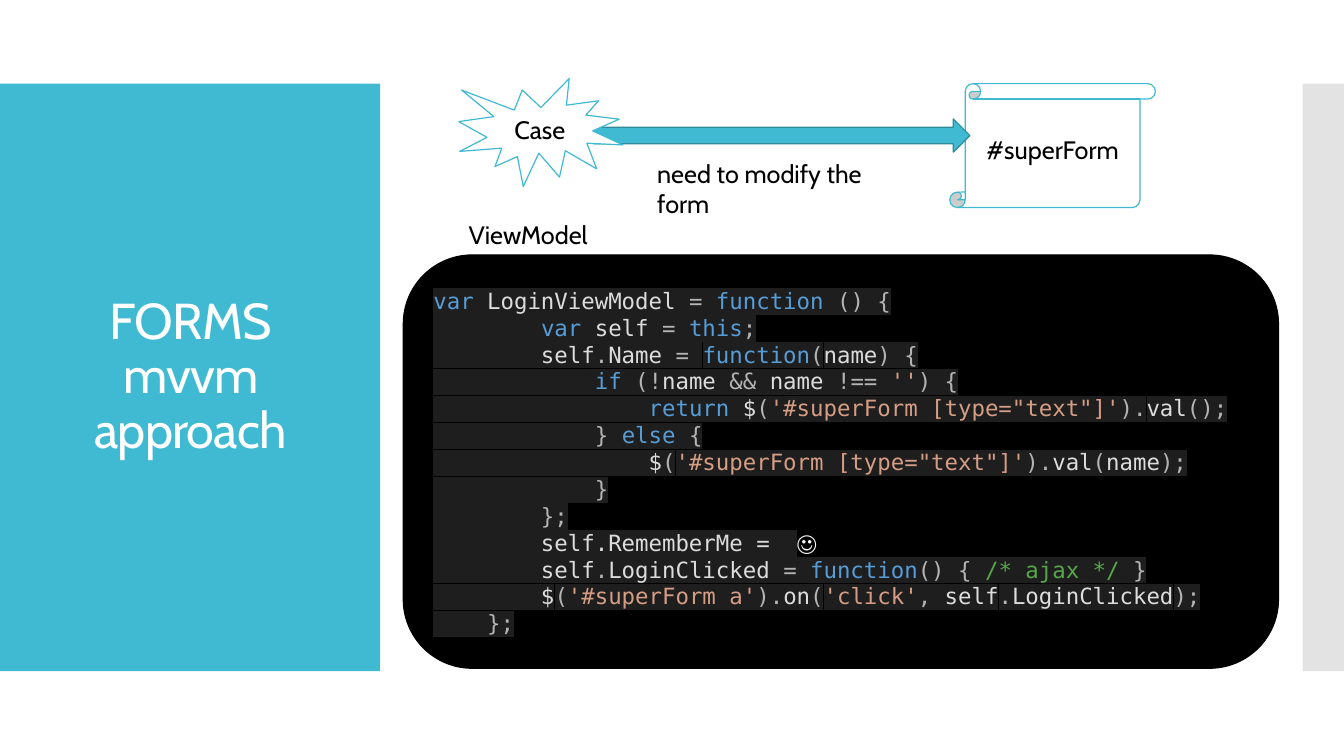
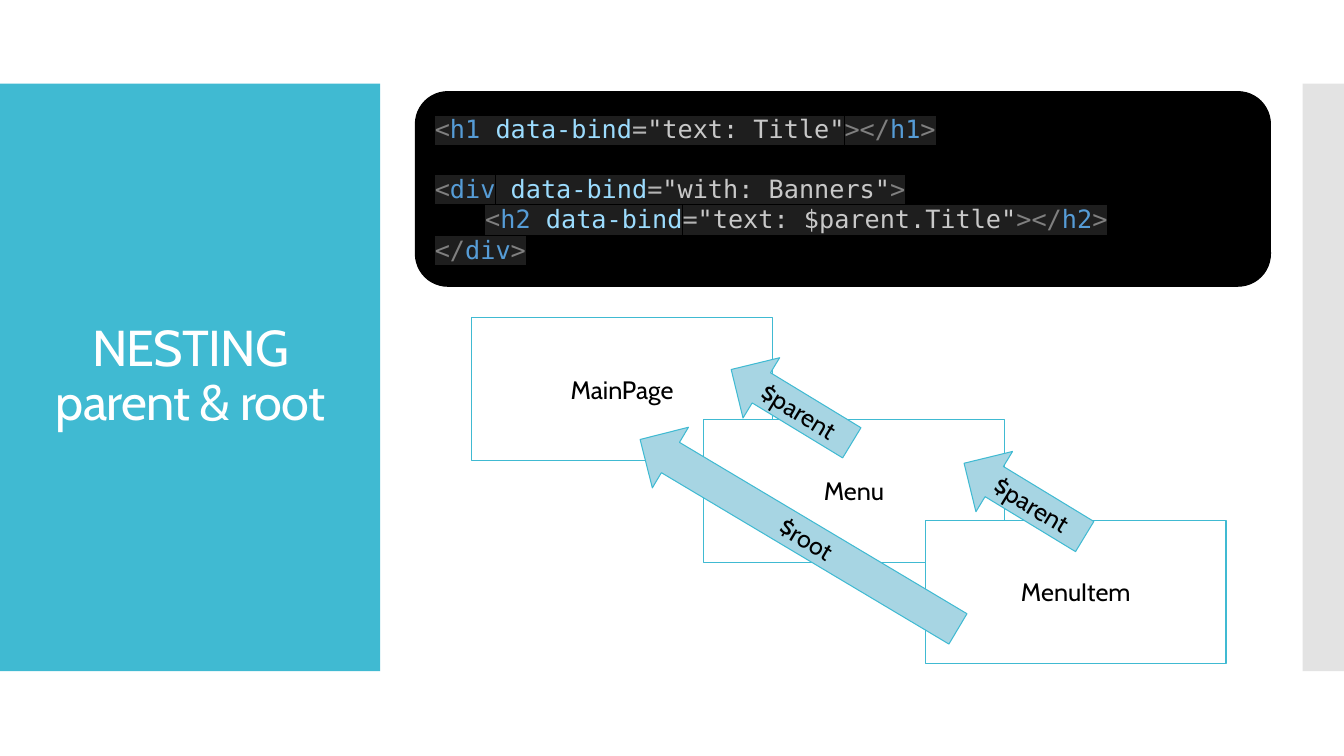
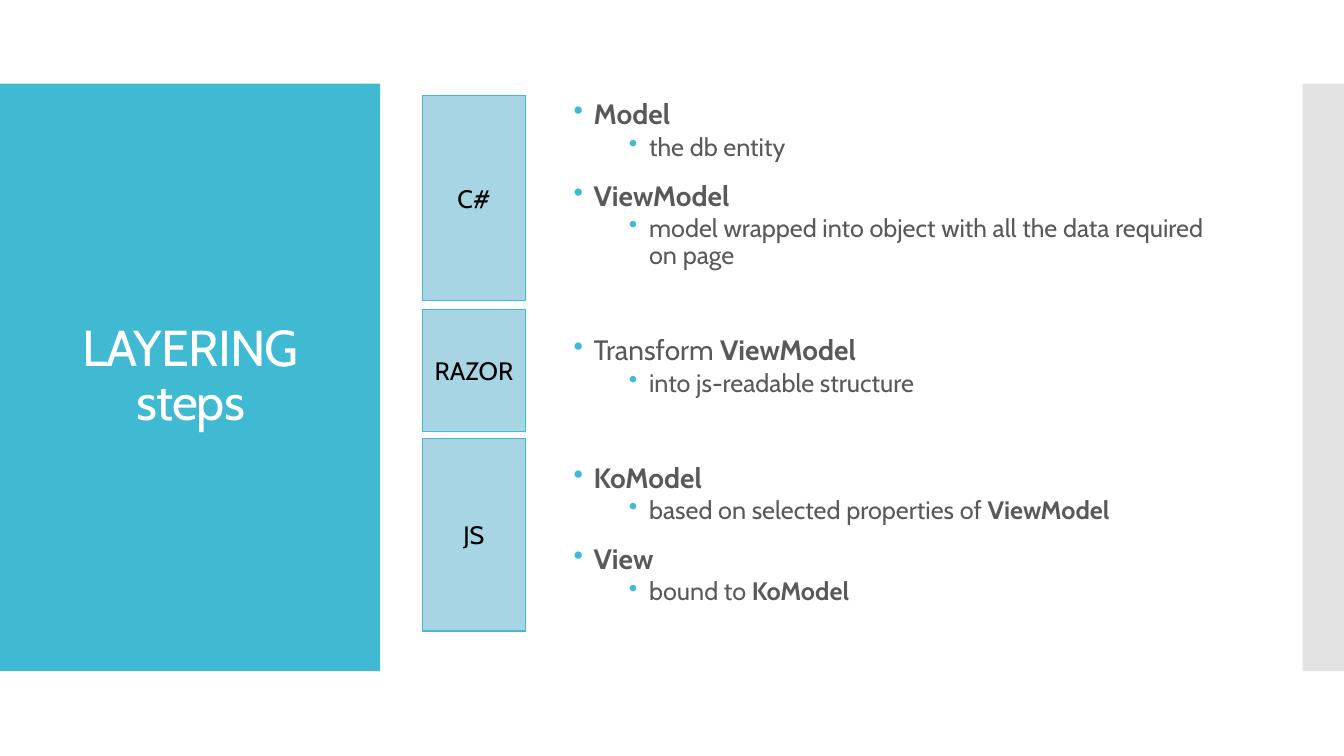
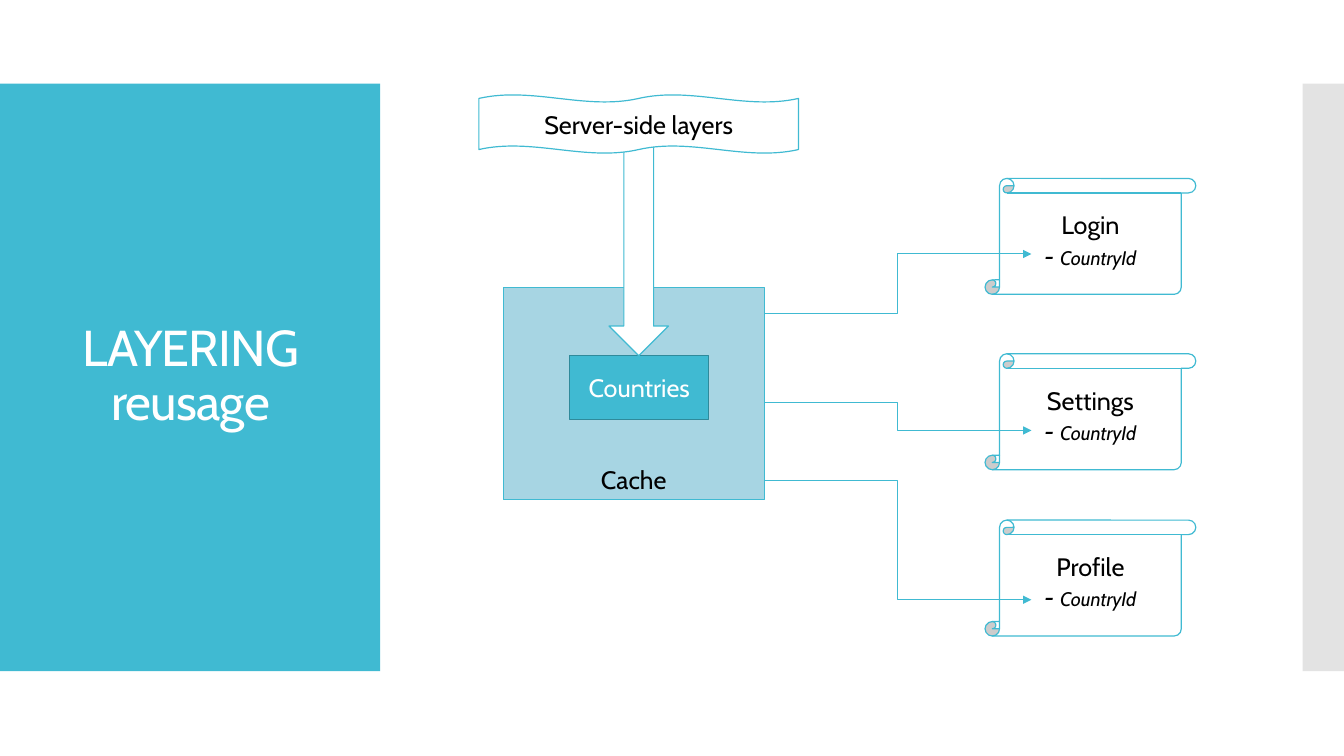
"""Build four slides on view models, nesting and layering."""
from pptx import Presentation
from pptx.dml.color import RGBColor
from pptx.enum.shapes import MSO_CONNECTOR, MSO_SHAPE as Shape
from pptx.enum.text import MSO_ANCHOR as Anchor, PP_ALIGN as Align
from pptx.oxml import parse_xml
from pptx.oxml.ns import nsdecls, qn
from pptx.util import Inches, Pt

SANS, MONO = "Cabin", "DejaVu Sans Mono"
TEAL, DARK_TEAL, PALE_TEAL = "40BAD2", "2F8A9B", "A7D5E3"
WHITE, BLACK, GREY, TEXT_GREY = "FFFFFF", "000000", "C8C8C8", "595959"
CODE_COLOURS = {
    "key": "569CD6", "id": "DCDCDC", "op": "B4B4B4", "str": "D69D85",
    "note": "57A64A", "tag": "808080", "attr": "9CDCFE", "val": GREY, "plain": WHITE,
}
rgb = RGBColor.from_string


def style(span, size=18, colour=BLACK, font=SANS, bold=False, italic=False):
    """Format one run."""
    span.font.size = Pt(size)
    span.font.color.rgb = rgb(colour)
    span.font.name = font
    span.font.bold = bold
    span.font.italic = italic


def add_box(page, kind, at, fill=WHITE, line=TEAL, width=0.85, text="", colour=BLACK):
    """Add a preset shape with centred text."""
    box = page.shapes.add_shape(kind, *map(Inches, at))
    box.shadow.inherit = False
    box.fill.solid()
    box.fill.fore_color.rgb = rgb(fill)
    if line:
        box.line.color.rgb = rgb(line)
        box.line.width = Pt(width)
    else:
        box.line.fill.background()
    if text:
        frame = box.text_frame
        frame.word_wrap = True
        frame.vertical_anchor = Anchor.MIDDLE
        frame.text = text
        for para in frame.paragraphs:
            para.alignment = Align.CENTER
            for span in para.runs:
                style(span, colour=colour)
    return box


deck = Presentation()
deck.slide_width, deck.slide_height = Inches(13.33), Inches(7.5)

titles = ["FORMS\vmvvm approach", "NESTING\vparent & root", "LAYERING\vsteps", "LAYERING reusage"]
pages = []
for title in titles:
    page = deck.slides.add_slide(deck.slide_layouts[6])
    add_box(page, Shape.RECTANGLE, (0, 0.83, 3.77, 5.83), TEAL, None)
    edge = add_box(page, Shape.RECTANGLE, (12.92, 0.83, 0.41, 5.83), GREY, None)
    tint = edge.fill._xPr.find(qn("a:solidFill"))[0]
    tint.append(parse_xml(f'<a:alpha {nsdecls("a")} val="50000"/>'))
    box = page.shapes.add_textbox(Inches(0.28), Inches(1.23), Inches(3.22), Inches(5.03))
    frame = box.text_frame
    frame.word_wrap = True
    frame.vertical_anchor = Anchor.MIDDLE
    frame.text = title
    para = frame.paragraphs[0]
    para.alignment = Align.CENTER
    para.line_spacing = 0.9
    for span in para.runs:
        style(span, 36, WHITE)
        span._r.get_or_add_rPr().set("spc", "-60")
    pages.append(page)
forms, nesting, steps, reusage = pages

add_box(forms, Shape.VERTICAL_SCROLL, (9.42, 0.83, 2.04, 1.23), text="#superForm")
login_code = [
    "key:var|id: LoginViewModel |op:= |key:function|op: () {",
    "id:        |key:var|id: self |op:= |key:this|op:;",
    "id:        self|op:.|id:Name |op:= |key:function|op:(|id:name|op:) {",
    "id:            |key:if|op: (!|id:name |op:&&|id: name |op:!== |str:''|op:) {",
    "id:                |key:return|id: $|op:(|str:'#superForm [type=\"text\"]'|op:).|id:val|op:();",
    "op:            } |key:else|op: {",
    "id:                $|op:(|str:'#superForm [type=\"text\"]'|op:).|id:val|op:(|id:name|op:);",
    "op:            }",
    "op:        };",
    "id:        self.RememberMe =  |plain:☺",
    "id:        self|op:.|id:LoginClicked |op:= |key:function|op:() { |note:/* ajax */|op: }",
    "id:        $|op:(|str:'#superForm a'|op:).|id:on|op:(|str:'click'|op:,|id: self|op:.|id:LoginClicked|op:);",
    "op:    };",
]
banner_code = [
    "tag:<|key:h1|attr: data-bind|op:=|val:\"text: Title\"|tag:></|key:h1|tag:>",
    "tag:<|key:div|attr: data-bind|op:=|val:\"with: Banners\"|tag:>",
    "tag:<|key:h2|attr: data-bind|op:=|val:\"text: $parent.Title\"|tag:></|key:h2|tag:>",
    "tag:</|key:div|tag:>",
]
for page, at, size, lines in [
    (forms, (4, 2.53, 8.68, 4.1), 16, login_code),
    (nesting, (4.12, 0.91, 8.48, 1.93), 18, banner_code),
]:
    panel = add_box(page, Shape.ROUNDED_RECTANGLE, at, BLACK, BLACK)
    frame = panel.text_frame
    frame.word_wrap = True
    frame.vertical_anchor = Anchor.MIDDLE
    for number, line in enumerate(lines):
        para = frame.add_paragraph() if number else frame.paragraphs[0]
        para.alignment = Align.LEFT
        for piece in line.split("|"):
            kind, _, text = piece.partition(":")
            span = para.add_run()
            span.text = text
            style(span, size, CODE_COLOURS[kind], SANS if kind == "plain" else MONO)
            if kind != "plain":
                fill = span._r.get_or_add_rPr().find(qn("a:solidFill"))
                fill.addnext(parse_xml(
                    f'<a:highlight {nsdecls("a")}><a:srgbClr val="1E1E1E"/></a:highlight>'))
    if page is nesting:
        frame.paragraphs[1].space_before = Pt(21)
        frame.paragraphs[2]._p.get_or_add_pPr().set("marL", str(Inches(0.5)))

add_box(forms, Shape.RIGHT_ARROW, (5.89, 1.18, 3.73, 0.33), TEAL, DARK_TEAL)
add_box(forms, Shape.EXPLOSION1, (4.55, 0.78, 1.63, 1.07), text="Case")
for text, at in [
    ("need to modify the form", (6.42, 1.52, 2.5, 0.7)),
    ("ViewModel", (4.55, 2.13, 1.6, 0.4)),
]:
    label = forms.shapes.add_textbox(*map(Inches, at))
    label.text_frame.word_wrap = True
    label.text_frame.text = text
    style(label.text_frame.paragraphs[0].runs[0])

for text, left, top in [("MainPage", 4.68, 3.15), ("Menu", 6.98, 4.16), ("MenuItem", 9.18, 5.16)]:
    add_box(nesting, Shape.RECTANGLE, (left, top, 2.98, 1.42), text=text)
for text, left, top, length, angle in [
    ("$parent", 7.15, 3.68, 1.4, 31.3),
    ("$root", 6.09, 4.95, 3.67, 30.8),
    ("$parent", 9.46, 4.61, 1.4, 31.3),
]:
    arrow = add_box(nesting, Shape.LEFT_ARROW, (left, top, length, 0.7), PALE_TEAL, width=0.75, text=text)
    arrow.rotation = angle

outline = [
    (0, 0, [("Model", True)]),
    (1, 2.5, [("the db entity", False)]),
    (0, 12, [("ViewModel", True)]),
    (1, 2.5, [("model wrapped into object with all the data required on page", False)]),
    (0, 45, [("Transform ", False), ("ViewModel", True)]),
    (1, 2.5, [("into js-readable structure", False)]),
    (0, 45, [("KoModel", True)]),
    (1, 2.5, [("based on selected properties of ", False), ("ViewModel", True)]),
    (0, 12, [("View", True)]),
    (1, 2.5, [("bound to ", False), ("KoModel", True)]),
]
body = steps.shapes.add_textbox(Inches(5.59), Inches(0.95), Inches(6.64), Inches(5.6))
frame = body.text_frame
frame.word_wrap = True
for number, (level, before, spans) in enumerate(outline):
    para = frame.add_paragraph() if number else frame.paragraphs[0]
    para.level = level
    para.line_spacing = 0.9
    para.space_before = Pt(before)
    para.space_after = Pt(2.5 * level)
    props = para._p.get_or_add_pPr()
    props.set("marL", str(Inches((0.2, 0.75)[level])))
    props.set("indent", str(Inches(-0.2)))
    props.append(parse_xml(f'<a:buClr {nsdecls("a")}><a:srgbClr val="{TEAL}"/></a:buClr>'))
    props.append(parse_xml(f'<a:buChar {nsdecls("a")} char="•"/>'))
    for text, bold in spans:
        span = para.add_run()
        span.text = text
        style(span, 20 - 2 * level, TEXT_GREY, bold=bold)
for text, top, height in [("C#", 0.95, 2.03), ("RAZOR", 3.07, 1.21), ("JS", 4.35, 1.91)]:
    add_box(steps, Shape.FLOWCHART_PROCESS, (4.19, top, 1.02, height), PALE_TEAL, width=0.75, text=text)

cache = add_box(reusage, Shape.RECTANGLE, (4.99, 2.85, 2.59, 2.11), PALE_TEAL, width=0.75, text="Cache")
cache.text_frame.vertical_anchor = Anchor.BOTTOM
for text, top in [("Login", 1.77), ("Settings", 3.51), ("Profile", 5.16)]:
    scroll = add_box(reusage, Shape.VERTICAL_SCROLL, (9.77, top, 2.09, 1.15), text=text)
    para = scroll.text_frame.add_paragraph()
    para.alignment = Align.CENTER
    for part, size in [("- ", 18), ("CountryId", 14)]:
        span = para.add_run()
        span.text = part
        style(span, size, italic=True)
add_box(reusage, Shape.RECTANGLE, (5.65, 3.53, 1.38, 0.63), TEAL, DARK_TEAL, text="Countries", colour=WHITE)
add_box(reusage, Shape.DOWN_ARROW, (6.04, 1.38, 0.59, 2.15))
for start, end in [(3.11, 2.52), (3.99, 4.27), (4.77, 5.95)]:
    link = reusage.shapes.add_connector(
        MSO_CONNECTOR.ELBOW, Inches(7.58), Inches(start), Inches(10.23), Inches(end))
    link.line.color.rgb = rgb(TEAL)
    link.line.width = Pt(0.75)
    link.line._get_or_add_ln().append(parse_xml(f'<a:tailEnd {nsdecls("a")} type="triangle"/>'))
    link._element.spPr.append(parse_xml(f'<a:effectLst {nsdecls("a")}/>'))
add_box(reusage, Shape.DOUBLE_WAVE, (4.75, 0.94, 3.17, 0.58), text="Server-side layers")

deck.save("out.pptx")
